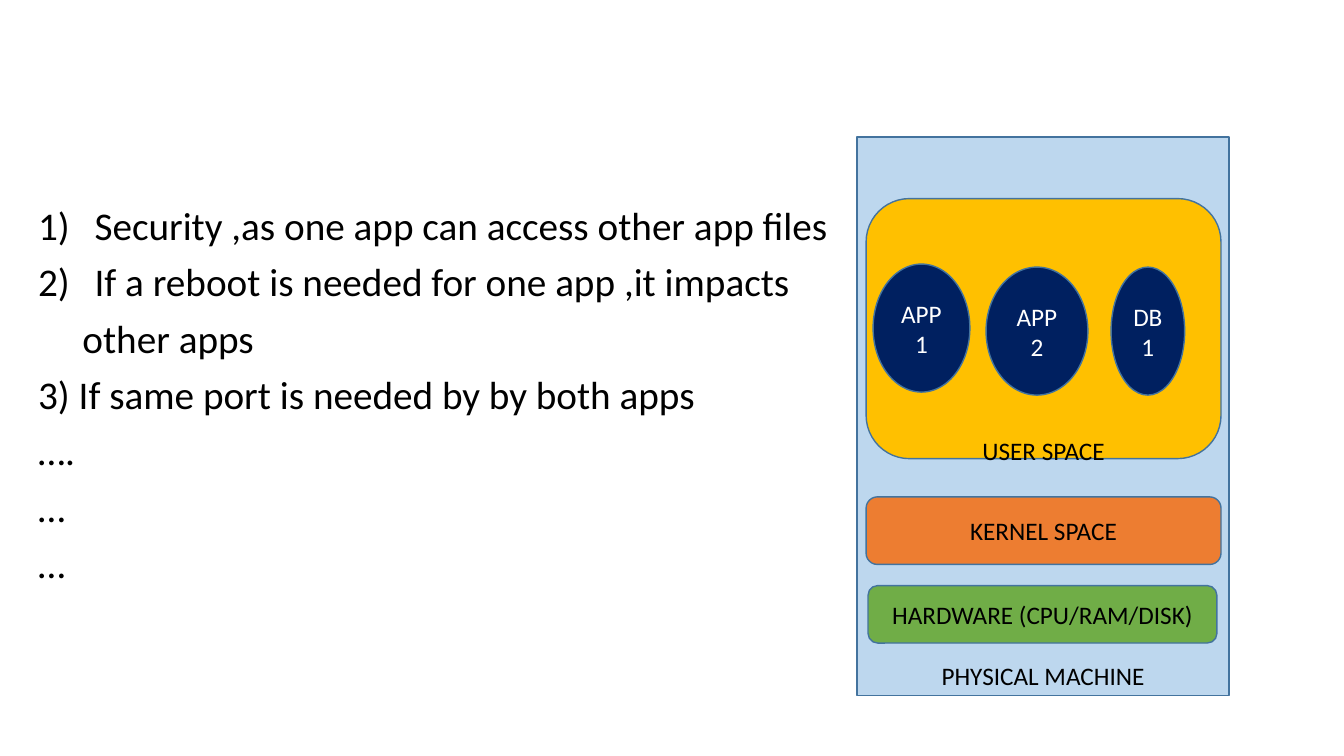
from lxml import etree
from pptx import Presentation
from pptx.dml.color import RGBColor
from pptx.enum.shapes import MSO_SHAPE as Shape
from pptx.enum.text import MSO_ANCHOR as Anchor, PP_ALIGN as Align
from pptx.oxml.ns import qn
from pptx.util import Inches, Pt

BLACK = RGBColor(0x00, 0x00, 0x00)
WHITE = RGBColor(0xFF, 0xFF, 0xFF)
OUTLINE = RGBColor(0x43, 0x73, 0x9E)
MACHINE_BLUE = RGBColor(0xBD, 0xD7, 0xEE)
USER_YELLOW = RGBColor(0xFF, 0xC0, 0x00)
KERNEL_ORANGE = RGBColor(0xED, 0x7D, 0x31)
HARDWARE_GREEN = RGBColor(0x70, 0xAD, 0x47)
APP_NAVY = RGBColor(0x00, 0x20, 0x60)

# Text, list number (None for plain lines), left indent in inches
PROBLEMS = [
    ("Security ,as one app can access other app files", 1, 0.56),
    ("If a reboot is needed for one app ,it impacts", 2, 0.56),
    ("other apps", None, 0.44),
    ("3) If same port is needed by by both apps", None, 0),
    ("….", None, 0),
    ("…", None, 0),
    ("…", None, 0),
]


def add_run(paragraph, text, size, color):
    """Add one Calibri run to a paragraph."""
    run = paragraph.add_run()
    run.text = text
    run.font.name = "Calibri"
    run.font.size = Pt(size)
    run.font.color.rgb = color


def indent(paragraph, left, number):
    """Indent a paragraph, hanging it behind a number such as 1) if given."""
    properties = paragraph._p.get_or_add_pPr()
    properties.set("marL", str(Inches(left)))
    if number:
        properties.set("indent", str(-Inches(left)))
        bullet = etree.SubElement(properties, qn("a:buAutoNum"))
        bullet.set("type", "arabicParenR")
        bullet.set("startAt", str(number))


def add_label(shape, text, color=BLACK, anchor=Anchor.MIDDLE):
    """Write a centred 18 pt label in a shape."""
    frame = shape.text_frame
    frame.word_wrap = True
    frame.vertical_anchor = anchor
    paragraph = frame.paragraphs[0]
    paragraph.alignment = Align.CENTER
    add_run(paragraph, text, 18, color)


def add_block(slide, kind, box, fill):
    """Add a filled, outlined shape; box is left, top, width, height."""
    shape = slide.shapes.add_shape(kind, *map(Inches, box))
    shape.shadow.inherit = False
    shape.fill.solid()
    shape.fill.fore_color.rgb = fill
    shape.line.color.rgb = OUTLINE
    shape.line.width = Pt(1)
    return shape


def add_problem_list(slide, left, top, width, height):
    """List the problems of sharing one machine."""
    frame = slide.shapes.add_textbox(*map(Inches, (left, top, width, height))).text_frame
    frame.word_wrap = True
    for index, (text, number, margin) in enumerate(PROBLEMS):
        paragraph = frame.add_paragraph() if index else frame.paragraphs[0]
        paragraph.line_spacing = 0.9
        paragraph.space_before = Pt(10)
        indent(paragraph, margin, number)
        add_run(paragraph, text, 28, BLACK)


def add_user_space(slide, left, top, width, height):
    """Draw the user space with its apps and a label on the lower edge."""
    add_block(slide, Shape.ROUNDED_RECTANGLE, (left, top, width, height), USER_YELLOW)
    apps = [("APP1", 0.07, 0.65, 0.96), ("APP2", 1.19, 0.68, 1.01), ("DB1", 2.43, 0.68, 0.73)]
    for name, across, down, app_width in apps:
        box = (left + across, top + down, app_width, 1.27)
        add_label(add_block(slide, Shape.OVAL, box, APP_NAVY), name, WHITE)
    label_box = (left, top + height - 0.28, width, 0.4)
    add_label(slide.shapes.add_textbox(*map(Inches, label_box)), "USER SPACE")


def add_machine(slide, left, top, width, height):
    """Draw the physical machine and the layers inside it."""
    machine = add_block(slide, Shape.RECTANGLE, (left, top, width, height), MACHINE_BLUE)
    add_label(machine, "PHYSICAL MACHINE", anchor=Anchor.BOTTOM)
    add_user_space(slide, left + 0.09, top + 0.61, width - 0.17, 2.58)
    layers = [
        ("KERNEL SPACE", 0.09, 3.57, 3.52, 0.67, KERNEL_ORANGE),
        ("HARDWARE (CPU/RAM/DISK)", 0.11, 4.45, 3.46, 0.57, HARDWARE_GREEN),
    ]
    for name, across, down, layer_width, layer_height, fill in layers:
        box = (left + across, top + down, layer_width, layer_height)
        add_label(add_block(slide, Shape.ROUNDED_RECTANGLE, box, fill), name)


presentation = Presentation()
presentation.slide_width = Inches(13.33)
presentation.slide_height = Inches(7.5)
slide = presentation.slides.add_slide(presentation.slide_layouts[6])
add_problem_list(slide, 0.28, 2, 12.13, 4.76)
add_machine(slide, 8.5, 1.36, 3.69, 5.54)
presentation.save("out.pptx")
